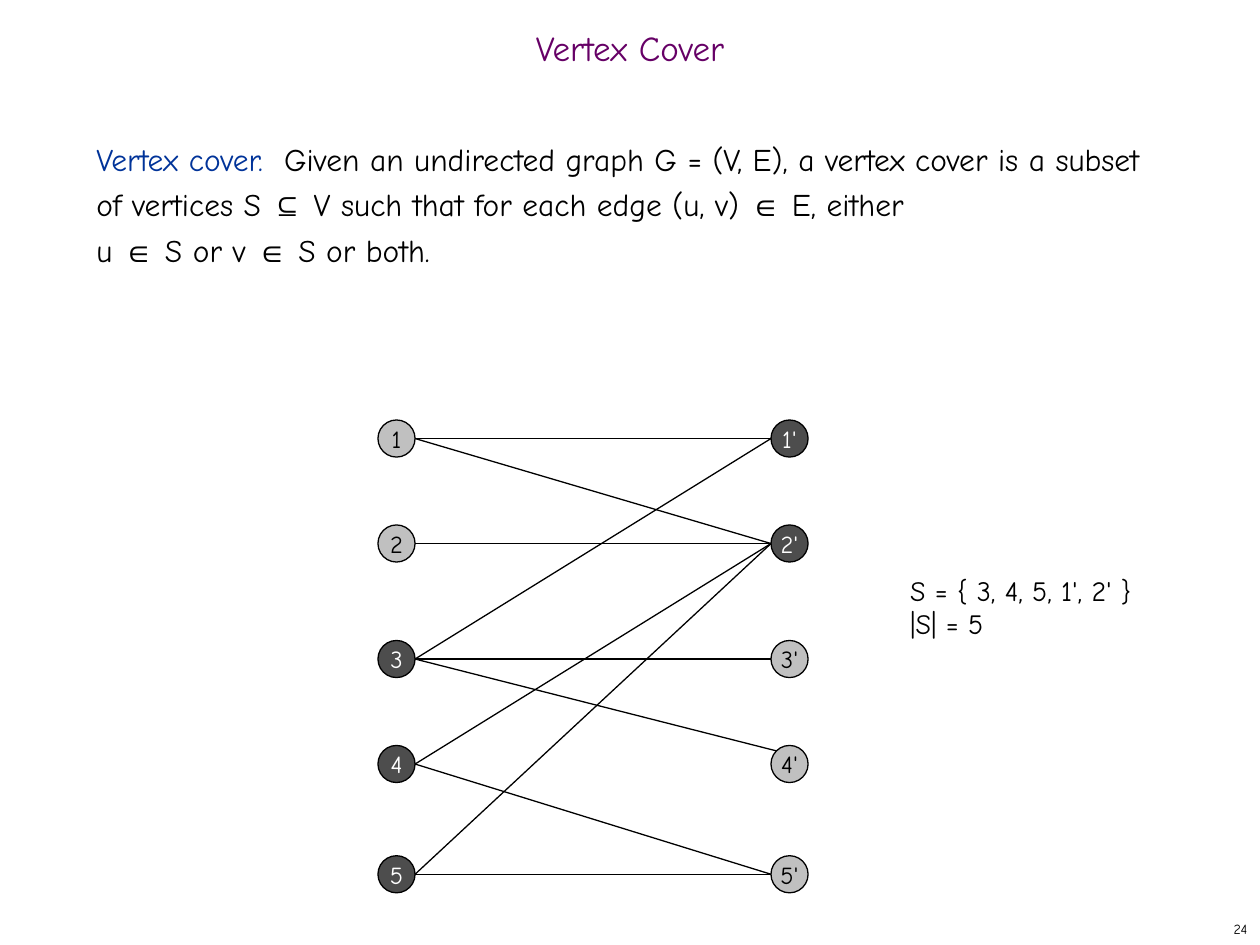
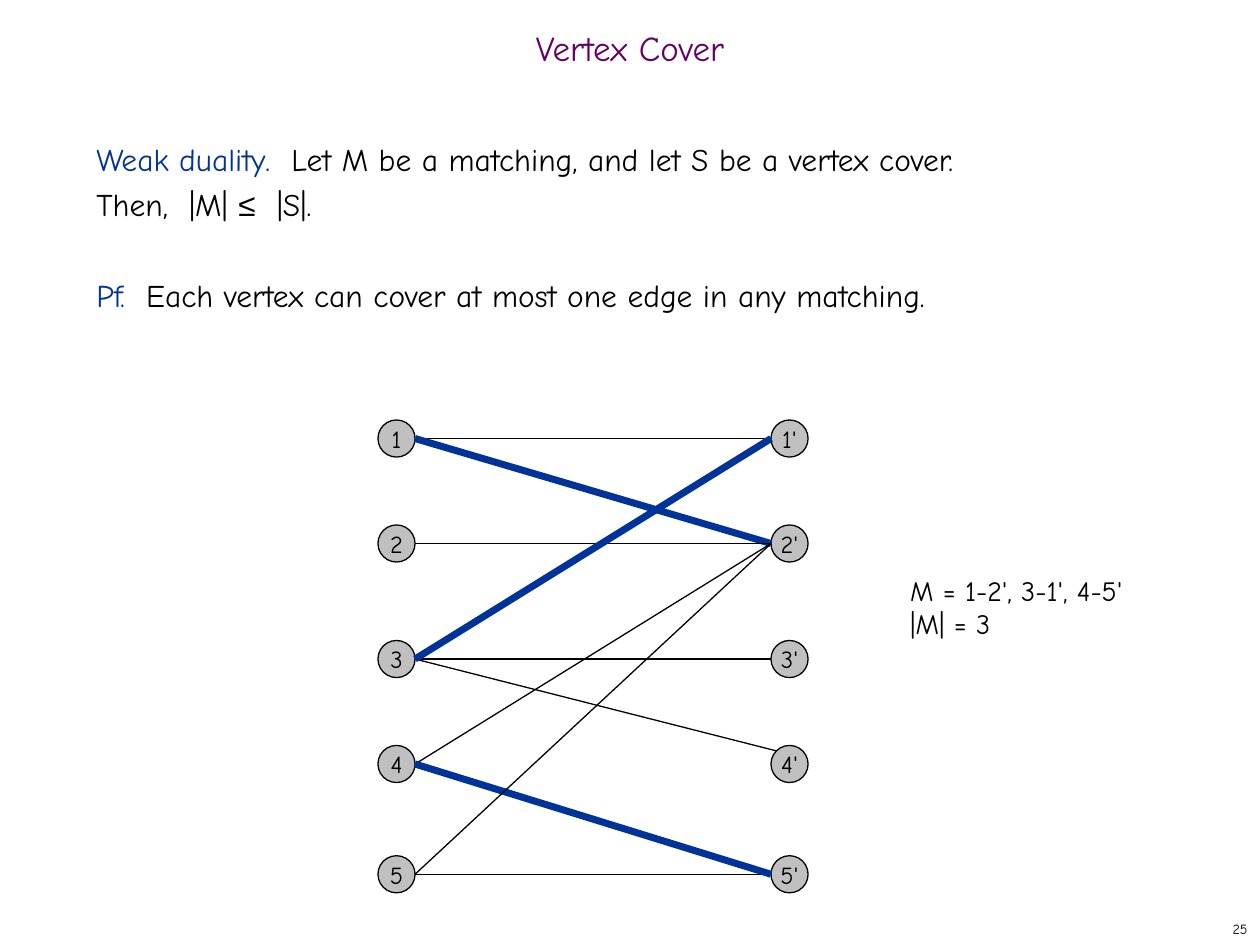
from dataclasses import dataclass
import math

import lxml.etree
import pptx
import pptx.dml.color
import pptx.enum.shapes
import pptx.enum.text
import pptx.oxml.ns
import pptx.slide
import pptx.text.text
import pptx.util

Pt = pptx.util.Pt
RGBColor = pptx.dml.color.RGBColor
Align = pptx.enum.text.PP_ALIGN
Anchor = pptx.enum.text.MSO_ANCHOR
AutoSize = pptx.enum.text.MSO_AUTO_SIZE

BLACK = RGBColor(0x00, 0x00, 0x00)
WHITE = RGBColor(0xFF, 0xFF, 0xFF)
PURPLE = RGBColor(0x66, 0x00, 0x66)
BLUE = RGBColor(0x00, 0x33, 0x99)
LIGHT_GREY = RGBColor(0xC0, 0xC0, 0xC0)
DARK_GREY = RGBColor(0x4D, 0x4D, 0x4D)

TEXT_FONT = "Comic Neue"
SYMBOL_FONT = "Arial"
SYMBOLS = "⊆∈≤"

NODE_SIZE = 21.2
LEFT_COLUMN = 216
RIGHT_COLUMN = 440.6
ROW_TOPS = (240, 300, 366, 426, 489)
CORNER_INSET = NODE_SIZE / 2 * (1 - math.cos(math.pi / 4))
THIN_LINE = 0.75
MATCHING_LINE = 4


@dataclass(frozen=True)
class Box:
    left: float
    top: float
    width: float
    height: float


@dataclass(frozen=True)
class Edge:
    start: int
    end: int
    meets_corner: bool = False


@dataclass(frozen=True)
class Statement:
    heading: str
    body: str
    space_before: float = 0


@dataclass(frozen=True)
class GraphSlide:
    number: int
    statements: tuple[Statement, ...]
    note: str
    cover: frozenset[str] = frozenset()
    matching: frozenset[tuple[int, int]] = frozenset()


TITLE_BOX = Box(0, 12, 720, 36)
STATEMENT_BOX = Box(48, 72, 618, 426)
NOTE_BOX = Box(513, 324, 184, 45)
NUMBER_BOX = Box(570, 522, 150, 18)

EDGES = (
    Edge(3, 3),
    Edge(1, 1),
    Edge(5, 5),
    Edge(1, 2),
    Edge(2, 2),
    Edge(4, 2),
    Edge(3, 4, meets_corner=True),
    Edge(4, 5),
    Edge(5, 2),
    Edge(3, 1),
)

SLIDES = (
    GraphSlide(
        number=24,
        statements=(
            Statement(
                "Vertex cover.",
                "  Given an undirected graph G = (V, E), a vertex cover is a subset "
                "of vertices S ⊆ V such that for each edge (u, v) ∈ E, either\n"
                "u ∈ S or v ∈ S or both.",
            ),
        ),
        note="S = { 3, 4, 5, 1', 2' }\n|S| = 5",
        cover=frozenset({"3", "4", "5", "1'", "2'"}),
    ),
    GraphSlide(
        number=25,
        statements=(
            Statement(
                "Weak duality.",
                "  Let M be a matching, and let S be a vertex cover.\n"
                "Then,  |M| ≤  |S|.",
            ),
            Statement(
                "Pf.",
                "  Each vertex can cover at most one edge in any matching.",
                space_before=26,
            ),
        ),
        note="M = 1-2', 3-1', 4-5'\n|M| = 3",
        matching=frozenset({(1, 2), (3, 1), (4, 5)}),
    ),
)


def style_paragraph(
    paragraph: pptx.text.text._Paragraph,
    size: float,
    color: RGBColor,
    alignment: Align = Align.LEFT,
) -> None:
    paragraph.alignment = alignment
    paragraph.font.name = TEXT_FONT
    paragraph.font.size = Pt(size)
    paragraph.font.color.rgb = color


def add_text_frame(
    slide: pptx.slide.Slide, box: Box, anchor: Anchor = Anchor.TOP
) -> pptx.text.text.TextFrame:
    shape = slide.shapes.add_textbox(
        Pt(box.left), Pt(box.top), Pt(box.width), Pt(box.height)
    )
    text_frame = shape.text_frame
    text_frame.word_wrap = True
    text_frame.vertical_anchor = anchor
    return text_frame


def add_run(
    paragraph: pptx.text.text._Paragraph, text: str, font: str, color: RGBColor
) -> None:
    run = paragraph.add_run()
    run.text = text
    run.font.name = font
    run.font.color.rgb = color


def split_symbols(text: str) -> list[str]:
    for symbol in SYMBOLS:
        text = text.replace(symbol, f"\t{symbol}\t")
    return [piece for piece in text.split("\t") if piece]


def add_title(slide: pptx.slide.Slide) -> None:
    paragraph = add_text_frame(slide, TITLE_BOX, Anchor.MIDDLE).paragraphs[0]
    paragraph.text = "Vertex Cover"
    paragraph.line_spacing = 0.7
    style_paragraph(paragraph, 20, PURPLE, Align.CENTER)


def add_statements(
    slide: pptx.slide.Slide, statements: tuple[Statement, ...]
) -> None:
    text_frame = add_text_frame(slide, STATEMENT_BOX)
    for index, statement in enumerate(statements):
        paragraph = text_frame.add_paragraph() if index else text_frame.paragraphs[0]
        paragraph.line_spacing = Pt(26)
        paragraph.space_before = Pt(statement.space_before)
        paragraph.font.size = Pt(18)
        add_run(paragraph, statement.heading, TEXT_FONT, BLUE)
        for line_index, line in enumerate(statement.body.split("\n")):
            if line_index:
                paragraph.add_line_break()
            for piece in split_symbols(line):
                font = SYMBOL_FONT if piece in SYMBOLS else TEXT_FONT
                add_run(paragraph, piece, font, BLACK)


def add_node(
    slide: pptx.slide.Slide, label: str, left: float, top: float, covered: bool
) -> None:
    shape = slide.shapes.add_shape(
        pptx.enum.shapes.MSO_SHAPE.OVAL,
        Pt(left), Pt(top), Pt(NODE_SIZE), Pt(NODE_SIZE),
    )
    shape.shadow.inherit = False
    shape.fill.solid()
    shape.fill.fore_color.rgb = DARK_GREY if covered else LIGHT_GREY
    shape.line.color.rgb = BLACK
    shape.line.width = Pt(THIN_LINE)
    text_frame = shape.text_frame
    text_frame.word_wrap = False
    text_frame.vertical_anchor = Anchor.MIDDLE
    paragraph = text_frame.paragraphs[0]
    paragraph.text = label
    style_paragraph(paragraph, 14, WHITE if covered else BLACK, Align.CENTER)


def add_edge(slide: pptx.slide.Slide, edge: Edge, matched: bool) -> None:
    start_y = ROW_TOPS[edge.start - 1] + NODE_SIZE / 2
    end_x = RIGHT_COLUMN + (CORNER_INSET if edge.meets_corner else 0)
    end_y = ROW_TOPS[edge.end - 1] + (
        CORNER_INSET if edge.meets_corner else NODE_SIZE / 2
    )
    connector = slide.shapes.add_connector(
        pptx.enum.shapes.MSO_CONNECTOR.STRAIGHT,
        Pt(LEFT_COLUMN + NODE_SIZE), Pt(start_y), Pt(end_x), Pt(end_y),
    )
    connector.line.color.rgb = BLUE if matched else BLACK
    connector.line.width = Pt(MATCHING_LINE if matched else THIN_LINE)
    lxml.etree.SubElement(
        connector._element.spPr, pptx.oxml.ns.qn("a:effectLst")
    )


def add_graph(slide: pptx.slide.Slide, content: GraphSlide) -> None:
    for row, top in enumerate(ROW_TOPS, start=1):
        for label, left in ((f"{row}", LEFT_COLUMN), (f"{row}'", RIGHT_COLUMN)):
            add_node(slide, label, left, top, label in content.cover)
    for edge in EDGES:
        add_edge(slide, edge, (edge.start, edge.end) in content.matching)


def add_note(slide: pptx.slide.Slide, note: str) -> None:
    text_frame = add_text_frame(slide, NOTE_BOX)
    text_frame.auto_size = AutoSize.SHAPE_TO_FIT_TEXT
    paragraph = text_frame.paragraphs[0]
    paragraph.text = note
    paragraph.space_before = Pt(10)
    style_paragraph(paragraph, 16, BLACK)


def add_slide_number(slide: pptx.slide.Slide, number: int) -> None:
    paragraph = add_text_frame(slide, NUMBER_BOX, Anchor.MIDDLE).paragraphs[0]
    paragraph.text = str(number)
    style_paragraph(paragraph, 8, BLACK, Align.RIGHT)


def main() -> None:
    presentation = pptx.Presentation()
    presentation.slide_width = Pt(720)
    presentation.slide_height = Pt(540)
    blank_layout = presentation.slide_layouts[6]
    for content in SLIDES:
        slide = presentation.slides.add_slide(blank_layout)
        add_title(slide)
        add_statements(slide, content.statements)
        add_graph(slide, content)
        add_note(slide, content.note)
        add_slide_number(slide, content.number)
    presentation.save("out.pptx")


if __name__ == "__main__":
    main()
